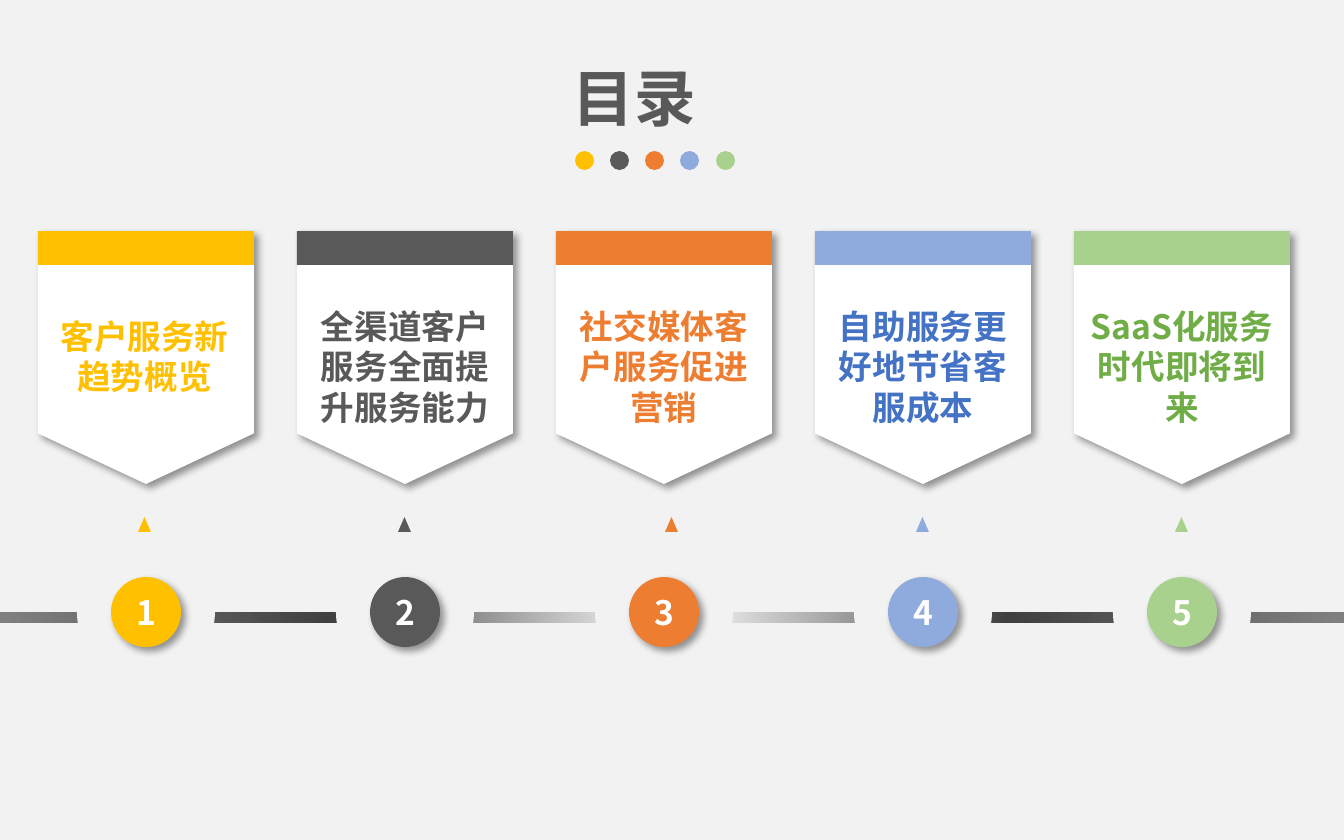
from collections import namedtuple
from dataclasses import dataclass

from lxml import etree
from pptx import Presentation, util as u
from pptx.dml.color import RGBColor
from pptx.enum import shapes as s, text as t
from pptx.oxml import parse_xml
from pptx.oxml.ns import nsdecls, qn


@dataclass(frozen=True)
class Theme:
    font: str = "Noto Sans CJK SC"
    background: str = "F2F2F2"
    white: str = "FFFFFF"
    dark: str = "595959"
    yellow: str = "FFC000"
    orange: str = "ED7D31"
    blue: str = "8FAADC"
    deep_blue: str = "4472C4"
    green: str = "A9D18E"
    deep_green: str = "70AD47"
    line_stops: tuple = ((0, "808080"), (25, "404040"), (50, "FFFFFF"),
                         (75, "404040"), (100, "808080"))
    title_size: int = 33
    body_size: int = 18


THEME = Theme()
EMU_PER_PX = 914400 / 134.4
PITCH = 259
CARD_LEFT, CARD_TOP, CARD_WIDTH, CARD_HEIGHT = 38, 231, 216, 253
HEADER_HEIGHT = 34
HALO, BADGE = 138, 70
LINE_TOP, LINE_HEIGHT = 612, 11

Topic = namedtuple("Topic", "label color label_color pointer_shift")
TOPICS = [
    Topic("客户服务新趋势概览", THEME.yellow, THEME.yellow, -1),
    Topic("全渠道客户服务全面提升服务能力", THEME.dark, THEME.dark, 0),
    Topic("社交媒体客户服务促进营销", THEME.orange, THEME.orange, 8),
    Topic("自助服务更好地节省客服成本", THEME.blue, THEME.deep_blue, 0),
    Topic("SaaS化服务时代即将到来", THEME.green, THEME.deep_green, 0),
]


def px(value):
    return u.Emu(round(value * EMU_PER_PX))


def box(left, top, width, height):
    return [px(value) for value in (left, top, width, height)]


def write(frame, label, size, color, align=t.PP_ALIGN.CENTER,
          anchor=t.MSO_ANCHOR.MIDDLE):
    frame.text = label
    frame.word_wrap = True
    frame.vertical_anchor = anchor
    paragraph = frame.paragraphs[0]
    paragraph.alignment = align
    font = paragraph.runs[0].font
    font.name, font.size, font.bold = THEME.font, u.Pt(size), True
    font.color.rgb = RGBColor.from_string(color)
    east_asian = etree.Element(qn("a:ea"), typeface=THEME.font)
    paragraph.runs[0]._r.rPr.find(qn("a:latin")).addnext(east_asian)


def add_shape(slide, kind, bounds, color):
    shape = slide.shapes.add_shape(kind, *box(*bounds))
    shape.shadow.inherit = False
    shape.fill.solid()
    shape.fill.fore_color.rgb = RGBColor.from_string(color)
    shape.line.fill.background()
    return shape


def cast_shadow(shape):
    effects = shape._element.spPr.find(qn("a:effectLst"))
    effects.append(parse_xml(
        f'<a:outerShdw {nsdecls("a")} blurRad="50800" dist="38100" dir="2700000" '
        'algn="tl" rotWithShape="0"><a:srgbClr val="000000">'
        '<a:alpha val="40000"/></a:srgbClr></a:outerShdw>'))


def add_title(slide, label):
    title = slide.shapes.title
    title.left, title.top, title.width, title.height = box(559, 20, 191, 163)
    write(title.text_frame, label, THEME.title_size, THEME.dark, t.PP_ALIGN.JUSTIFY)
    title.text_frame.paragraphs[0].line_spacing = 0.9
    title.text_frame.auto_size = t.MSO_AUTO_SIZE.NONE


def add_timeline(slide):
    line = add_shape(slide, s.MSO_SHAPE.RECTANGLE,
                     (0, LINE_TOP, 1344, LINE_HEIGHT), THEME.white)
    line.fill.gradient()
    line.fill.gradient_angle = 180
    stops = line._element.spPr.find(qn("a:gradFill")).find(qn("a:gsLst"))
    for stop in list(stops):
        stops.remove(stop)
    for percent, color in THEME.line_stops:
        stop = etree.SubElement(stops, qn("a:gs"), pos=str(percent * 1000))
        etree.SubElement(stop, qn("a:srgbClr"), val=color)


def add_badge(slide, number, center, color):
    for diameter, fill in ((HALO, THEME.background), (BADGE, color)):
        badge = add_shape(slide, s.MSO_SHAPE.OVAL,
                          (center - diameter // 2, LINE_TOP - diameter // 2,
                           diameter, diameter), fill)
    cast_shadow(badge)
    write(badge.text_frame, str(number), THEME.body_size, THEME.white)


def add_card(slide, left, topic, separate_label):
    card = add_shape(slide, s.MSO_SHAPE.FLOWCHART_OFFPAGE_CONNECTOR,
                     (left, CARD_TOP, CARD_WIDTH, CARD_HEIGHT), THEME.white)
    cast_shadow(card)
    add_shape(slide, s.MSO_SHAPE.RECTANGLE,
              (left, CARD_TOP, CARD_WIDTH, HEADER_HEIGHT), topic.color)
    if separate_label:
        label = slide.shapes.add_textbox(*box(left - 3, 309, CARD_WIDTH + 3, 95))
        anchor = t.MSO_ANCHOR.TOP
    else:
        label, anchor = card, t.MSO_ANCHOR.BOTTOM
    write(label.text_frame, topic.label, THEME.body_size, topic.label_color,
          anchor=anchor)


def main():
    deck = Presentation()
    deck.slide_width, deck.slide_height = px(1344), px(840)
    slide = deck.slides.add_slide(deck.slide_layouts[5])
    slide.background.fill.solid()
    slide.background.fill.fore_color.rgb = RGBColor.from_string(THEME.background)

    add_title(slide, "目录")
    add_timeline(slide)
    for index, topic in enumerate(TOPICS):
        left = CARD_LEFT + PITCH * index
        center = left + CARD_WIDTH // 2
        add_badge(slide, index + 1, center, topic.color)
        add_shape(slide, s.MSO_SHAPE.ISOSCELES_TRIANGLE,
                  (center - 7 + topic.pointer_shift, 517, 13, 15), topic.color)
        add_shape(slide, s.MSO_SHAPE.OVAL,
                  (575 + 141 * index // 4, 151, 19, 19), topic.color)
        add_card(slide, left, topic, separate_label=index == 0)

    deck.save("out.pptx")


if __name__ == "__main__":
    main()
